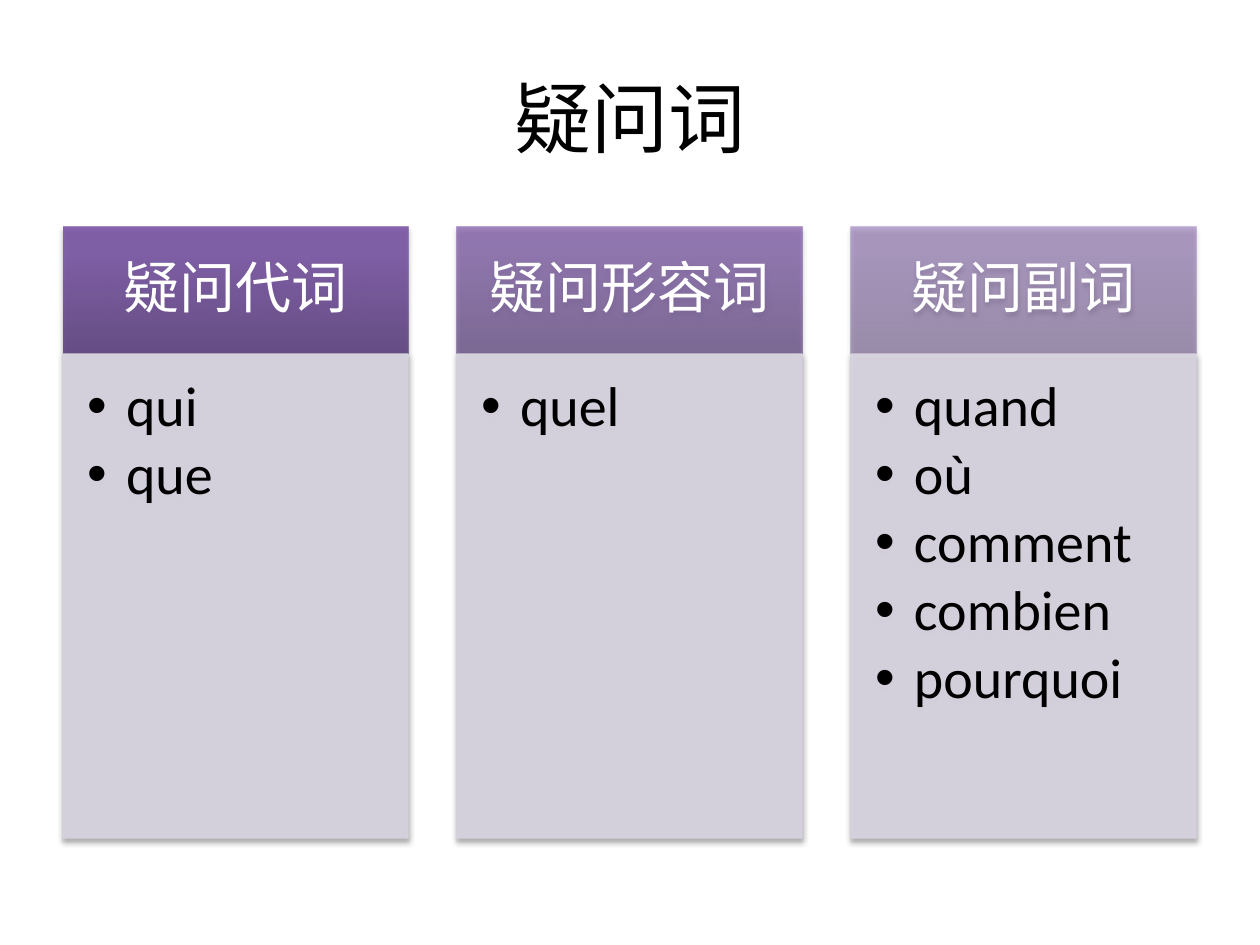
import pptx
import pptx.util
import pptx.oxml
import pptx.dml.color
import pptx.enum.shapes
import pptx.enum.text

TITLE = "疑问词"
GROUPS = [
    ("疑问代词", 90, ["qui", "que"]),
    ("疑问形容词", 70, ["quel"]),
    ("疑问副词", 50, ["quand", "où", "comment", "combien", "pourquoi"]),
]
COLORS = {"black": "000000", "white": "FFFFFF", "pale": "D8D3E0",
          "deep": "5F4480", "mid": "7B58A6", "top": "7C57A8"}
FONT = "Calibri"
LEFT, STEP, WIDE = 63, 394, 345
HEAD_Y, HEAD_H, BODY_H = 227, 127, 484
HEAD_PAD = (32, 18, 32, 18)
BODY_PAD = (24, 24, 32, 35)
HANG = 39

NS = 'xmlns:a="http://schemas.openxmlformats.org/drawingml/2006/main"'
PP = pptx.enum.text.PP_ALIGN
ANCHOR = pptx.enum.text.MSO_ANCHOR


def px(n):
    return pptx.util.Emu(round(n * 914400 / 126))


def node(xml):
    return pptx.oxml.parse_xml(xml.replace(">", f" {NS}>", 1))


def tint(name, alpha):
    return f'<a:srgbClr val="{COLORS[name]}"><a:alpha val="{alpha * 1000}"/></a:srgbClr>'


def solid(name, alpha):
    return f"<a:solidFill>{tint(name, alpha)}</a:solidFill>"


def fade(alpha):
    stops = "".join(f'<a:gs pos="{pos * 1000}">{tint(name, alpha)}</a:gs>'
                    for pos, name in ((0, "deep"), (80, "mid"), (100, "top")))
    return f'<a:gradFill><a:gsLst>{stops}</a:gsLst><a:lin ang="16200000" scaled="0"/></a:gradFill>'


def write(shape, lines, size=32, color="black", align=PP.CENTER, anchor=ANCHOR.MIDDLE,
          pad=None, space=None, after=0, bullet=False):
    frame = shape.text_frame
    frame.word_wrap = True
    frame.vertical_anchor = anchor
    if pad:
        (frame.margin_left, frame.margin_top,
         frame.margin_right, frame.margin_bottom) = map(px, pad)
    for i, line in enumerate(lines):
        para = frame.add_paragraph() if i else frame.paragraphs[0]
        para.alignment = align
        para.line_spacing = space
        para.space_after = pptx.util.Pt(after)
        run = para.add_run()
        run.text = line
        run.font.size = pptx.util.Pt(size)
        run.font.name = FONT
        run.font.color.rgb = pptx.dml.color.RGBColor.from_string(COLORS[color])
        if bullet:
            props = para._p.get_or_add_pPr()
            props.set("marL", str(px(HANG)))
            props.set("indent", str(-px(HANG)))
            props.append(node('<a:buFont typeface="Arial"></a:buFont>'))
            props.append(node('<a:buChar char="•"></a:buChar>'))


def panel(x, y, high, fill, edge=None):
    box = slide.shapes.add_shape(pptx.enum.shapes.MSO_SHAPE.RECTANGLE,
                                 px(x), px(y), px(WIDE), px(high))
    box.shadow.inherit = False
    props = box._element.spPr
    box.line.fill.background()
    if edge:
        box.line.width = pptx.util.Pt(0.75)
        line = box.line._ln
        line.replace(line[0], node(edge))
    props.insert(2, node(fill))
    props[-1].append(node(
        '<a:outerShdw blurRad="39370" dist="22860" dir="5400000" rotWithShape="0">'
        f'{tint("black", 35)}</a:outerShdw>'))
    return box


deck = pptx.Presentation()
deck.slide_width, deck.slide_height = px(1260), px(945)
slide = deck.slides.add_slide(deck.slide_layouts[5])
title = slide.shapes.title
title.left, title.top, title.width, title.height = map(px, (63, 38, 1134, 157))
write(title, [TITLE], size=44)

for col, (name, alpha, words) in enumerate(GROUPS):
    x = LEFT + col * STEP
    head = panel(x, HEAD_Y, HEAD_H, fade(alpha))
    write(head, [name], color="white", pad=HEAD_PAD, space=0.9)
    body = panel(x, HEAD_Y + HEAD_H, BODY_H, solid("pale", 90), solid("pale", 90))
    write(body, words, align=PP.LEFT, anchor=ANCHOR.TOP, pad=BODY_PAD,
          space=0.9, after=4.3, bullet=True)

deck.save("out.pptx")
